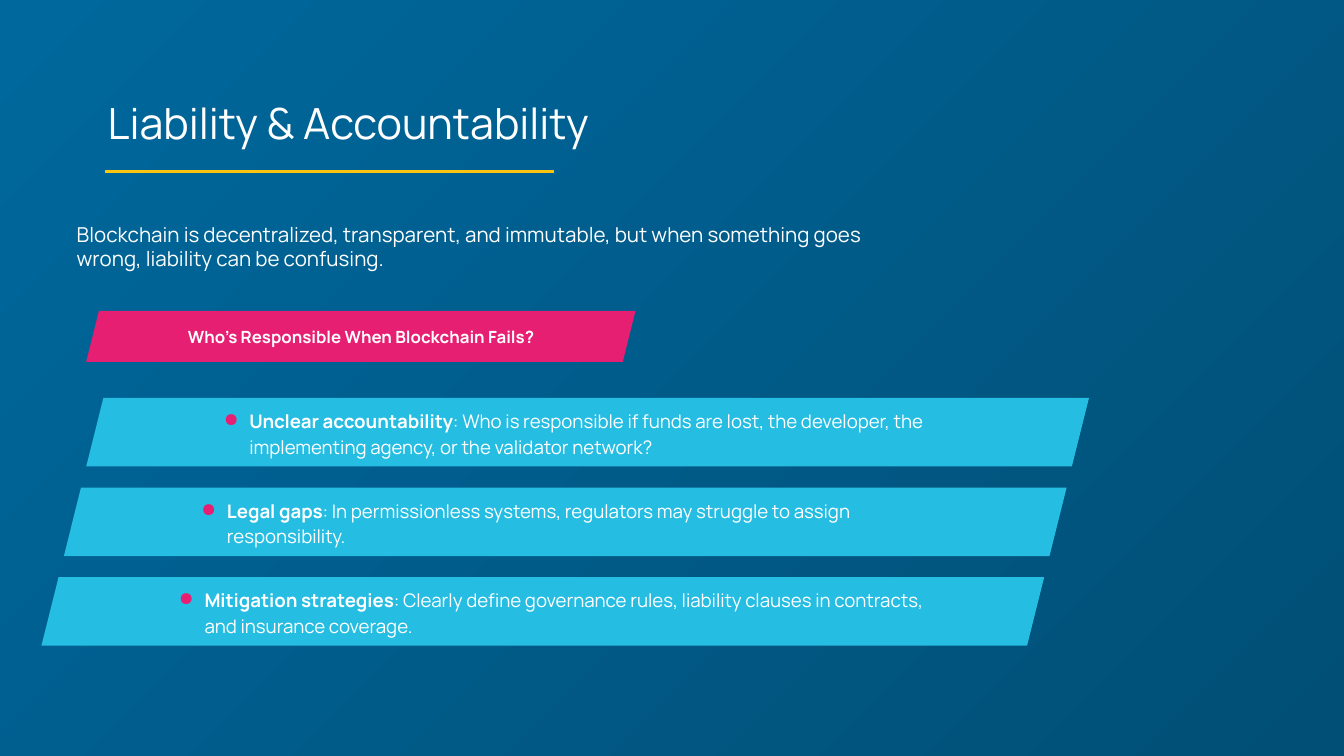
from dataclasses import dataclass

from lxml import etree
from pptx import Presentation
from pptx.dml.color import RGBColor
from pptx.enum.shapes import MSO_CONNECTOR, MSO_SHAPE
from pptx.enum.text import MSO_ANCHOR, MSO_AUTO_SIZE, PP_ALIGN
from pptx.oxml.ns import qn
from pptx.util import Pt

LINE = MSO_CONNECTOR.STRAIGHT
PARALLELOGRAM = MSO_SHAPE.PARALLELOGRAM
MIDDLE, TOP = MSO_ANCHOR.MIDDLE, MSO_ANCHOR.TOP
GROW = MSO_AUTO_SIZE.SHAPE_TO_FIT_TEXT
LEFT, CENTER = PP_ALIGN.LEFT, PP_ALIGN.CENTER


@dataclass(frozen=True)
class Theme:
    """Colours, font and type sizes of the slide."""
    back_start: str = "00689D"
    back_end: str = "014F76"
    text: str = "FFFFFF"
    rule: str = "FBC410"
    accent: str = "E71F72"
    card: str = "26BDE2"
    font: str = "Manrope"
    title: float = 23
    intro: float = 11
    body: float = 10
    banner: float = 9
    inset: float = 7.2


THEME = Theme()
POINTS = [
    ("Unclear accountability", ": Who is responsible if funds are lost, the developer, "
     "the implementing agency, or the validator network?"),
    ("Legal gaps", ": In permissionless systems, regulators may struggle to assign responsibility."),
    ("Mitigation strategies", ": Clearly define governance rules, liability clauses in contracts, "
     "and insurance coverage."),
]


def rgb(code):
    """Return the colour for a hex code."""
    return RGBColor.from_string(code)


def set_frame(tf, anchor):
    """Set wrapping, anchor and equal insets."""
    tf.word_wrap = True
    tf.vertical_anchor = anchor
    tf.margin_left = tf.margin_right = tf.margin_top = tf.margin_bottom = Pt(THEME.inset)


def add_run(p, text, size, bold=False):
    """Append one run in the slide font."""
    r = p.add_run()
    r.text = text
    r.font.name = THEME.font
    r.font.size = Pt(size)
    r.font.bold = bold
    r.font.color.rgb = rgb(THEME.text)


def add_bullet(p, indent, hang):
    """Give a paragraph a hanging accent-coloured bullet."""
    pPr = p._p.get_or_add_pPr()
    pPr.set("marL", str(Pt(indent)))
    pPr.set("indent", str(-Pt(hang)))
    color = etree.SubElement(pPr, qn("a:buClr"))
    etree.SubElement(color, qn("a:srgbClr"), val=THEME.accent)
    etree.SubElement(pPr, qn("a:buChar"), char="●")


def add_text(s, box, text, size, align=LEFT):
    """Place a text box that grows with its text."""
    tf = s.shapes.add_textbox(*map(Pt, box)).text_frame
    set_frame(tf, TOP)
    tf.auto_size = GROW
    p = tf.paragraphs[0]
    p.alignment = align
    add_run(p, text, size)


def add_slanted(s, box, color):
    """Place a filled parallelogram and return its first paragraph."""
    sp = s.shapes.add_shape(PARALLELOGRAM, *map(Pt, box))
    sp.shadow.inherit = False
    sp.adjustments[0] = 0.25
    sp.fill.solid()
    sp.fill.fore_color.rgb = rgb(color)
    sp.line.fill.background()
    set_frame(sp.text_frame, MIDDLE)
    return sp.text_frame.paragraphs[0]


def add_background(s):
    """Fill the slide with a diagonal gradient."""
    fill = s.background.fill
    fill.gradient()
    fill.gradient_angle = 315
    for stop, color in zip(fill.gradient_stops, (THEME.back_start, THEME.back_end)):
        stop.color.rgb = rgb(color)


def add_title(s, box, text):
    """Place the centred title and the rule below it."""
    x, y, w, h = box
    add_text(s, box, text, THEME.title, CENTER)
    rule_x, rule_y = x + 46.2, y + h + 5
    rule = s.shapes.add_connector(LINE, Pt(rule_x), Pt(rule_y), Pt(rule_x + 240.5), Pt(rule_y))
    rule.line.color.rgb = rgb(THEME.rule)
    rule.line.width = Pt(1.5)
    etree.SubElement(rule._element.spPr, qn("a:effectLst"))


def add_banner(s, box, text):
    """Place the question banner."""
    p = add_slanted(s, box, THEME.accent)
    p.alignment = CENTER
    add_run(p, text, THEME.banner, True)


def add_cards(s, box, points):
    """Stack one card per point, each stepping to the left."""
    x, y, w, h = box
    for i, (label, detail) in enumerate(points):
        p = add_slanted(s, (x - 12 * i, y + 48 * i, w, h), THEME.card)
        add_bullet(p, 31.7, 13.7)
        p.alignment = LEFT
        p.line_spacing = 1.15
        add_run(p, label, THEME.body, True)
        add_run(p, detail, THEME.body)


def main():
    """Build and save the slide."""
    prs = Presentation()
    prs.slide_width, prs.slide_height = Pt(720), Pt(405)
    s = prs.slides.add_slide(prs.slide_layouts[6])
    add_background(s)
    add_title(s, (10, 44.5, 353.5, 42.5), "Liability & Accountability")
    add_text(s, (34, 111.6, 457.2, 41), "Blockchain is decentralized, transparent, and immutable, "
             "but when something goes wrong, liability can be confusing.", THEME.intro)
    add_banner(s, (46.2, 166.5, 294.3, 27.4), "Who’s Responsible When Blockchain Fails?")
    add_cards(s, (46.2, 213.2, 537.2, 36.7), POINTS)
    prs.save("out.pptx")


if __name__ == "__main__":
    main()
